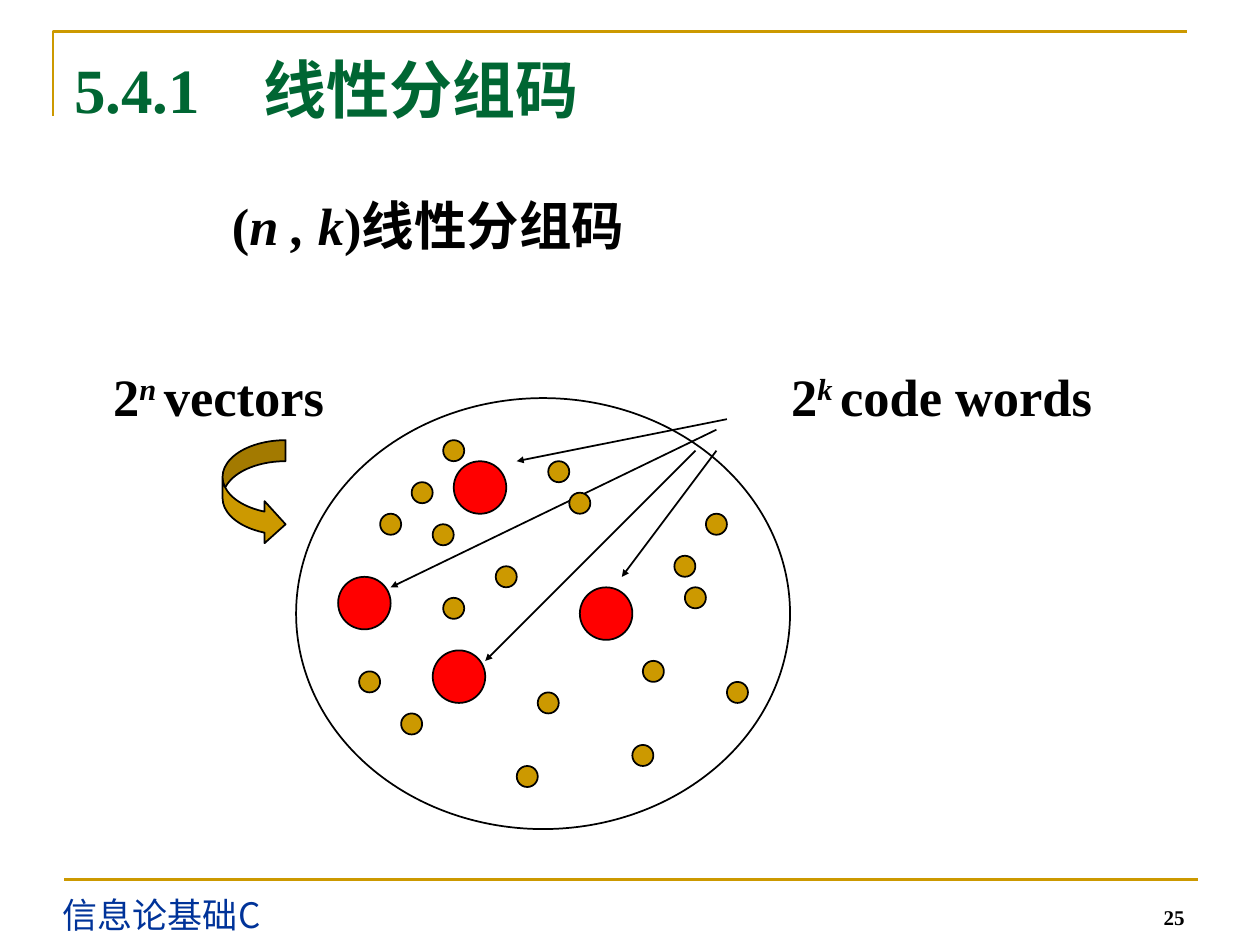
from dataclasses import dataclass

from lxml.etree import SubElement
from pptx import Presentation
from pptx.dml.color import RGBColor
from pptx.enum.shapes import MSO_CONNECTOR, MSO_SHAPE
from pptx.enum.text import MSO_ANCHOR, PP_ALIGN
from pptx.oxml.ns import qn
from pptx.util import Inches, Pt


@dataclass(frozen=True)
class Theme:
    gold: str = "CC9900"
    green: str = "006633"
    blue: str = "003399"
    red: str = "FF0000"
    black: str = "000000"
    white: str = "FFFFFF"
    latin: str = "Times New Roman"
    cjk: str = "Noto Sans CJK SC"
    title: int = 36
    body: int = 30
    footer: int = 20
    number: int = 12
    rule: float = 1.5
    outline: float = 1


T = Theme()


def rgb(color):
    return RGBColor.from_string(color)


def add_text(s, box, runs, size, color=T.black, font=T.latin, bold=True,
             align=PP_ALIGN.LEFT, anchor=MSO_ANCHOR.TOP, bottom=0.05, tab=None):
    tf = s.shapes.add_textbox(*map(Inches, box)).text_frame
    tf.word_wrap = True
    tf.vertical_anchor = anchor
    tf.margin_bottom = Inches(bottom)
    p = tf.paragraphs[0]
    p.alignment = align
    if tab:
        stops = SubElement(p._p.get_or_add_pPr(), qn("a:tabLst"))
        SubElement(stops, qn("a:tab"), pos=str(Inches(tab)), algn="l")
    for text, style in runs:
        r = p.add_run()
        r.text = text
        r.font.name = font
        r.font.size = Pt(size)
        r.font.bold = bold
        r.font.italic = bool(style)
        r.font.color.rgb = rgb(color)
        rPr = r.font._element
        SubElement(rPr, qn("a:ea"), typeface=T.cjk)
        if style == "super":
            rPr.set("baseline", "30000")


def add_line(s, start, end, color=T.black, width=T.outline, arrow=False):
    line = s.shapes.add_connector(MSO_CONNECTOR.STRAIGHT, *map(Inches, (*start, *end)))
    line.line.color.rgb = rgb(color)
    line.line.width = Pt(width)
    if arrow:
        SubElement(line.line._get_or_add_ln(), qn("a:tailEnd"),
                   type="triangle", w="sm", len="sm")
    SubElement(line._element.spPr, qn("a:effectLst"))


def add_shape(s, kind, box, fill):
    sp = s.shapes.add_shape(kind, *map(Inches, box))
    sp.shadow.inherit = False
    sp.fill.solid()
    sp.fill.fore_color.rgb = rgb(fill)
    sp.line.color.rgb = rgb(T.black)
    sp.line.width = Pt(T.outline)
    return sp


def add_header(s, x, y, w, h):
    fb = s.shapes.build_freeform(Inches(x), Inches(y + h))
    fb.add_line_segments([(Inches(x), Inches(y)), (Inches(x + w), Inches(y))], close=False)
    frame = fb.convert_to_shape()
    frame.shadow.inherit = False
    frame.fill.background()
    frame.line.color.rgb = rgb(T.gold)
    frame.line.width = Pt(T.rule)
    add_text(s, (x + 0.07, y + 0.1, w, 0.88), [("5.4.1\t线性分组码", None)],
             T.title, T.green, tab=1.5)


def add_footer(s, x, y, w):
    add_line(s, (x, y), (x + w, y), T.gold, T.rule)
    add_text(s, (x - 0.11, y + 0.06, 2, 0.44), [("信息论基础C", None)],
             T.footer, T.blue, T.cjk, bold=False)
    add_text(s, (x + w - 1.35, y + 0.06, 1.34, 0.39), [("25", None)], T.number,
             align=PP_ALIGN.RIGHT, anchor=MSO_ANCHOR.BOTTOM)


def add_labels(s, x, y, w, h):
    add_text(s, (x + 0.73, y, 3.83, 0.61),
             [("(", None), ("n , k", "italic"), (")线性分组码 ", None)],
             T.body, align=PP_ALIGN.CENTER)
    add_text(s, (x, y + 0.77, w, h - 0.77),
             [("2", None), ("n ", "super"), ("vectors\t2", None),
              ("k ", "super"), ("code words", None)],
             T.body, anchor=MSO_ANCHOR.BOTTOM, bottom=0.12, tab=5.38)


def add_code_space(s, x, y, w, h):
    cols, rows = 47, 41
    ux, uy = w / cols, h / rows

    def at(col, row):
        return x + col * ux, y + row * uy

    def cell(col, row, across, down):
        return (*at(col, row), across * ux, down * uy)

    code_words = [(4, 17), (15, 6), (13, 24), (27, 18)]
    arrows = [((41, 2), (21, 6)), ((40, 3), (9, 18)),
              ((40, 5), (31, 17)), ((38, 5), (18, 25))]
    vectors = [(6, 26), (14, 19), (39, 11), (21, 35), (23, 28), (32, 33),
               (11, 8), (10, 30), (37, 18), (41, 27), (8, 11), (26, 9),
               (36, 15), (33, 25), (14, 4), (13, 12), (19, 16), (24, 6)]

    add_shape(s, MSO_SHAPE.OVAL, (x, y, w, h), T.white)
    for spot in code_words:
        add_shape(s, MSO_SHAPE.OVAL, cell(*spot, 5, 5), T.red)
    for start, end in arrows:
        add_line(s, at(*start), at(*end), arrow=True)
    sp = add_shape(s, MSO_SHAPE.CURVED_RIGHT_ARROW, cell(-7, 4, 6, 10), T.gold)
    for i, value in enumerate((1 / 3, 2 / 3, 1 / 3)):
        sp.adjustments[i] = value
    for spot in vectors:
        add_shape(s, MSO_SHAPE.OVAL, cell(*spot, 2, 2), T.gold)


def main():
    prs = Presentation()
    prs.slide_width, prs.slide_height = Inches(10), Inches(7.5)
    s = prs.slides.add_slide(prs.slide_layouts[6])
    add_header(s, 0.42, 0.25, 9, 0.67)
    add_footer(s, 0.51, 6.98, 9)
    add_labels(s, 0.8, 1.48, 9, 2.03)
    add_code_space(s, 2.35, 3.16, 3.92, 3.42)
    prs.save("out.pptx")


if __name__ == "__main__":
    main()
